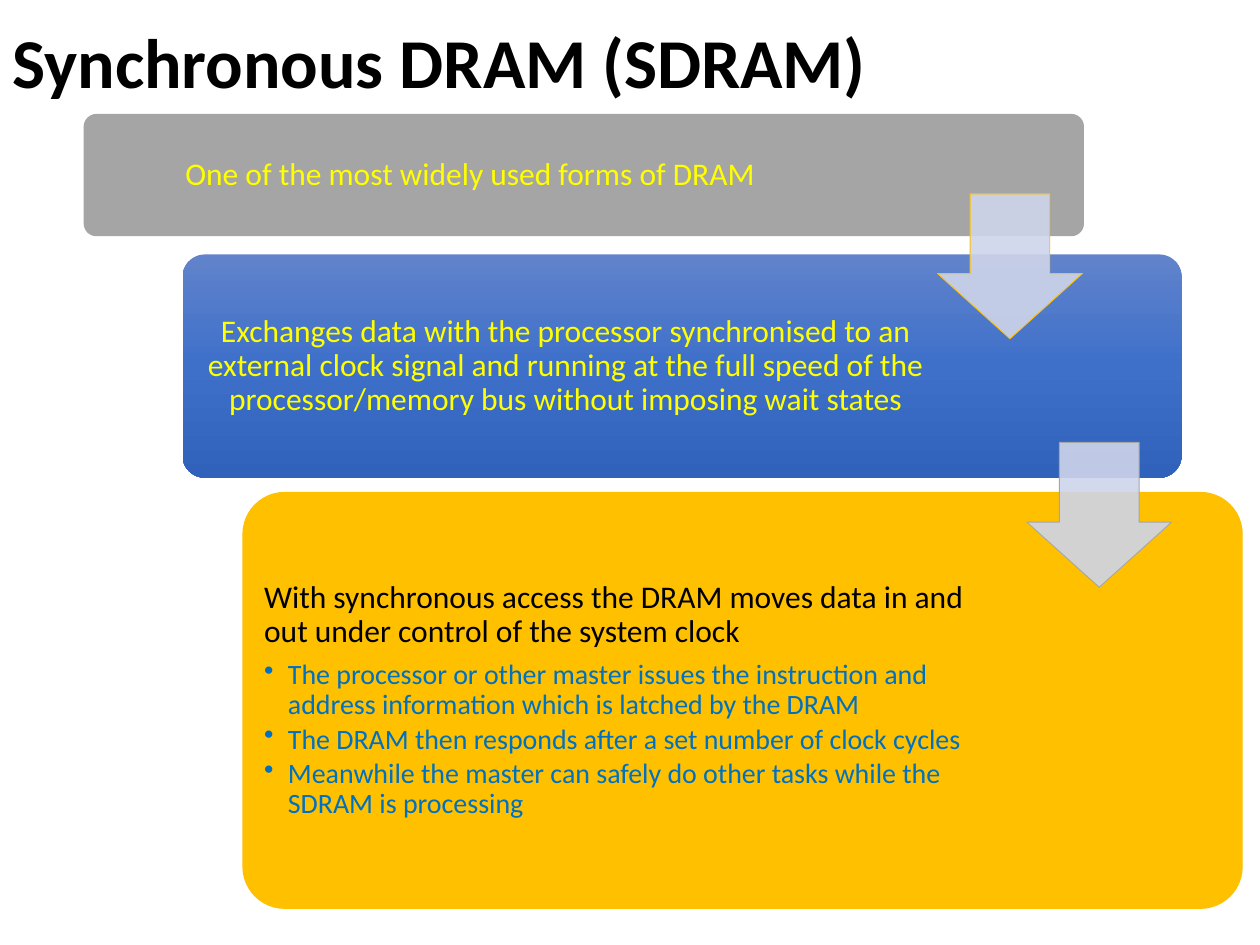
from copy import deepcopy
from dataclasses import dataclass

from lxml import etree
from pptx import Presentation
from pptx.dml.color import RGBColor
from pptx.enum.shapes import MSO_SHAPE
from pptx.enum.text import MSO_ANCHOR, PP_ALIGN
from pptx.oxml.ns import qn
from pptx.util import Cm, Pt

ROUNDED, DOWN_ARROW = MSO_SHAPE.ROUNDED_RECTANGLE, MSO_SHAPE.DOWN_ARROW
MIDDLE = MSO_ANCHOR.MIDDLE
LEFT, CENTER = PP_ALIGN.LEFT, PP_ALIGN.CENTER

BLACK = RGBColor(0x00, 0x00, 0x00)
GREY = RGBColor(0xA5, 0xA5, 0xA5)
GOLD = RGBColor(0xFF, 0xC0, 0x00)
YELLOW = RGBColor(0xFF, 0xFF, 0x00)
BLUE = RGBColor(0x00, 0x70, 0xC0)
PALE_BLUE = RGBColor(0xCF, 0xD5, 0xEA)
BLUE_GRADIENT = (RGBColor(0x61, 0x83, 0xCB), RGBColor(0x3E, 0x70, 0xCA),
                 RGBColor(0x30, 0x62, 0xBB))

FONT = "Calibri"
CARD_WIDTH = 20.14
CORNER = 0.1
CORNER_INSET = CORNER * 0.293
ARROW_SIZE = 2.92
ARROW_OPACITY = 90


@dataclass
class Line:
    """One paragraph of text."""
    text: str
    color: RGBColor
    size: float = 18
    align: PP_ALIGN = LEFT
    space_after: float = 6.3
    bold: bool = False
    bullet: bool = False


@dataclass
class Card:
    """A step of the staircase; lengths in cm, one colour or a gradient."""
    left: float
    top: float
    height: float
    text_width: float
    colors: tuple[RGBColor, ...]
    lines: list[Line]


@dataclass
class Arrow:
    """An arrow from one card to the next; lengths in cm."""
    left: float
    top: float
    outline: RGBColor


def detail(text: str) -> Line:
    """Return a bulleted line of the last card."""
    return Line(text, BLUE, size=16, space_after=2.4, bullet=True)


TITLE = Line("Synchronous DRAM (SDRAM)", BLACK, size=40, space_after=0, bold=True)
CARDS = [
    Card(1.7, 2.31, 2.44, 15.42, (GREY,), [
        Line("One of the most widely used forms of DRAM", YELLOW, align=CENTER)]),
    Card(3.68, 5.13, 4.5, 15.19, BLUE_GRADIENT, [
        Line("Exchanges data with the processor synchronised to an external clock "
             "signal and running at the full speed of the processor/memory bus "
             "without imposing wait states", YELLOW, align=CENTER)]),
    Card(4.9, 9.93, 8.38, 14.96, (GOLD,), [
        Line("With synchronous access the DRAM moves data in and out under control "
             "of the system clock", BLACK),
        detail("The processor or other master issues the instruction and address "
               "information which is latched by the DRAM"),
        detail("The DRAM then responds after a set number of clock cycles"),
        detail("Meanwhile the master can safely do other tasks while the SDRAM is "
               "processing")]),
]
ARROWS = [Arrow(18.9, 3.91, GOLD), Arrow(20.7, 8.92, GREY)]


def add_text(slide, left: float, top: float, width: float, height: float,
             lines: list[Line], inset: float) -> None:
    """Add a vertically centred text box with one paragraph per line."""
    box = slide.shapes.add_textbox(Cm(left), Cm(top), Cm(width), Cm(height))
    frame = box.text_frame
    frame.word_wrap = True
    frame.vertical_anchor = MIDDLE
    frame.margin_left = frame.margin_right = Cm(inset)
    frame.margin_top = frame.margin_bottom = Cm(inset)
    for index, line in enumerate(lines):
        paragraph = frame.add_paragraph() if index else frame.paragraphs[0]
        paragraph.text = line.text
        paragraph.alignment = line.align
        paragraph.line_spacing = 0.9
        paragraph.space_after = Pt(line.space_after)
        font = paragraph.font
        font.name, font.size, font.bold = FONT, Pt(line.size), line.bold
        font.color.rgb = line.color
        if line.bullet:
            add_bullet(paragraph)


def add_bullet(paragraph) -> None:
    """Give a paragraph a round bullet and a hanging indent."""
    paragraph.level = 1
    properties = paragraph._p.get_or_add_pPr()
    properties.set("marL", str(Cm(0.48)))
    properties.set("indent", str(-Cm(0.48)))
    bullet = etree.Element(qn("a:buChar"), char="•")
    properties.find(qn("a:defRPr")).addprevious(bullet)


def fill_gradient(shape, colors: tuple[RGBColor, ...]) -> None:
    """Fill a shape from top to bottom with evenly spaced colours."""
    shape.fill.gradient()
    shape.fill.gradient_angle = 270
    stop_list = shape._element.spPr.find(".//" + qn("a:gsLst"))
    for _ in range(len(colors) - len(stop_list)):
        stop_list.append(deepcopy(stop_list[0]))
    for index, (stop, color) in enumerate(zip(shape.fill.gradient_stops, colors)):
        stop.position = index / (len(colors) - 1)
        stop.color.rgb = color


def add_card(slide, card: Card) -> None:
    """Draw a rounded card and the text inside its corners."""
    shape = slide.shapes.add_shape(ROUNDED, Cm(card.left), Cm(card.top),
                                   Cm(CARD_WIDTH), Cm(card.height))
    shape.adjustments[0] = CORNER
    shape.shadow.inherit = False
    if len(card.colors) > 1:
        fill_gradient(shape, card.colors)
        shape.line.fill.background()
    else:
        shape.fill.solid()
        shape.fill.fore_color.rgb = shape.line.color.rgb = card.colors[0]
        shape.line.width = Pt(0.75)
    inset = card.height * CORNER_INSET
    add_text(slide, card.left + inset, card.top + inset, card.text_width,
             card.height - 2 * inset, card.lines, inset=0.18)


def add_arrow(slide, arrow: Arrow) -> None:
    """Draw a slightly transparent down arrow."""
    shape = slide.shapes.add_shape(DOWN_ARROW, Cm(arrow.left), Cm(arrow.top),
                                   Cm(ARROW_SIZE), Cm(ARROW_SIZE))
    shape.adjustments[0], shape.adjustments[1] = 0.55, 0.45
    shape.shadow.inherit = False
    shape.fill.solid()
    shape.fill.fore_color.rgb = PALE_BLUE
    color = shape._element.spPr.find(qn("a:solidFill"))[0]
    etree.SubElement(color, qn("a:alpha"), val=str(ARROW_OPACITY * 1000))
    shape.line.color.rgb = arrow.outline
    shape.line.width = Pt(0.5)


def main() -> None:
    """Build the slide and save it."""
    presentation = Presentation()
    presentation.slide_width, presentation.slide_height = Cm(25.4), Cm(19.05)
    slide = presentation.slides.add_slide(presentation.slide_layouts[6])
    add_text(slide, 0, 0.33, 20.98, 2.01, [TITLE], inset=0.25)
    for card in CARDS:
        add_card(slide, card)
    for arrow in ARROWS:
        add_arrow(slide, arrow)
    presentation.save("out.pptx")


main()
